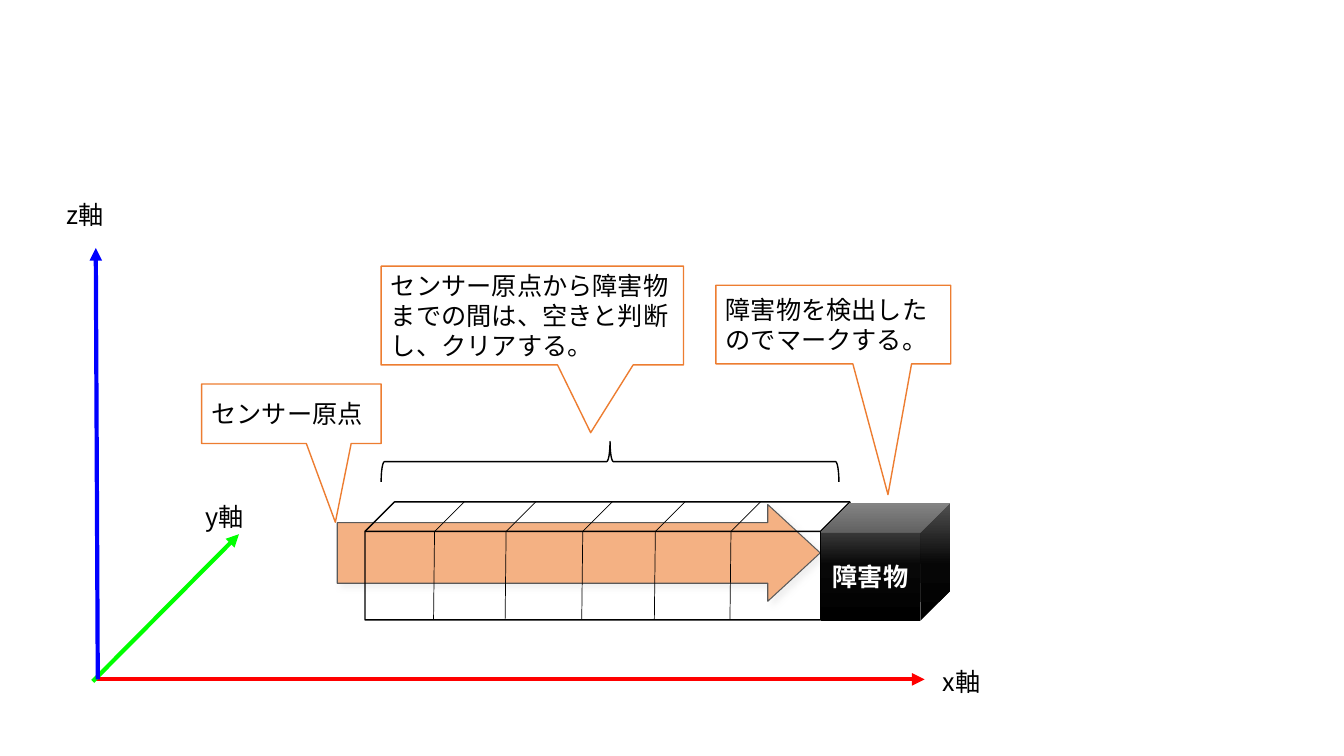
from lxml.etree import SubElement
from pptx import Presentation
from pptx.dml.color import RGBColor
from pptx.enum.shapes import MSO_CONNECTOR, MSO_SHAPE
from pptx.enum.text import MSO_ANCHOR, MSO_AUTO_SIZE, PP_ALIGN
from pptx.oxml import parse_xml
from pptx.oxml.ns import nsdecls, qn
from pptx.util import Inches, Pt

BLACK = RGBColor(0x00, 0x00, 0x00)
WHITE = RGBColor(0xFF, 0xFF, 0xFF)
RED = RGBColor(0xFF, 0x00, 0x00)
GREEN = RGBColor(0x00, 0xFF, 0x00)
BLUE = RGBColor(0x00, 0x00, 0xFF)
ORANGE = RGBColor(0xED, 0x7D, 0x31)
PEACH = RGBColor(0xF4, 0xB1, 0x83)
GRAY = RGBColor(0x59, 0x59, 0x59)
FONT = "Noto Sans CJK JP"
ROWS = 75

AXES = [
    ("x軸", RED, (9.3, 67.4), (91.7, 67.4), (92.5, 65.6)),
    ("y軸", GREEN, (9.2, 67.6), (23.7, 53), (19.4, 49.2)),
    ("z軸", BLUE, (9.7, 67.4), (9.5, 24.6), (5.6, 19.3)),
]
LABEL_SIZE = (9.5, 4)
CALLOUTS = [
    ("センサー原点", (20, 38.1, 17.8, 5.9), (0.245, 1.824)),
    ("センサー原点から障害物までの間は、空きと判断し、クリアする。",
     (37.8, 26.4, 30, 9.8), (0.193, 1.186)),
    ("障害物を検出したのでマークする。", (71, 28.3, 23.3, 7.8), (0.233, 2.163)),
]
BEAM = (33.45, 50.05, 47.9, 9.6)
BEAM_SHAPE = (0.627, 0.542)
FREE_SPACE = (36.2, 49.8, 48.1, 11.7)
OBSTACLE = ("障害物", (81.4, 49.9, 12.8, 11.7))
BRACE = (37.8, 43.8, 45.4, 4)
DIVIDERS = [43, 50.1, 57.7, 64.9, 72.4]
DEPTH = FREE_SPACE[3] / 4

prs = Presentation()
prs.slide_width, prs.slide_height = Inches(13.33), Inches(7.5)
slide = prs.slides.add_slide(prs.slide_layouts[6])
cell = prs.slide_height / ROWS


def grid(*lengths):
    return [round(length * cell) for length in lengths]


def add_line(start, end, color, width, arrow=False):
    line = slide.shapes.add_connector(MSO_CONNECTOR.STRAIGHT, *grid(*start, *end))
    line.line.color.rgb = color
    line.line.width = Pt(width)
    if arrow:
        SubElement(line.line._get_or_add_ln(), qn("a:tailEnd"), type="triangle")
    SubElement(line._element.spPr, qn("a:effectLst"))


def add_part(preset, box, fill=None, outline=None, width=1, adjust=(), turn=0):
    left, top, wide, high = box
    if turn:
        left, top = left + (wide - high) / 2, top + (high - wide) / 2
        wide, high = high, wide
    part = slide.shapes.add_shape(preset, *grid(left, top, wide, high))
    part.rotation = turn
    part.shadow.inherit = False
    for index, value in enumerate(adjust):
        part.adjustments[index] = value
    if fill is None:
        part.fill.background()
    else:
        part.fill.solid()
        part.fill.fore_color.rgb = fill
    if outline is None:
        part.line.fill.background()
    else:
        part.line.color.rgb = outline
        part.line.width = Pt(width)
    return part


def write(part, text, color=BLACK, bold=False, align=PP_ALIGN.LEFT):
    frame = part.text_frame
    frame.word_wrap = True
    paragraph = frame.paragraphs[0]
    paragraph.text = text
    paragraph.alignment = align
    font = paragraph.font
    font.name, font.size, font.bold = FONT, Pt(18), bold
    font.color.rgb = color
    defaults = paragraph._p.pPr.find(qn("a:defRPr"))
    SubElement(defaults, qn("a:ea"), typeface=FONT)
    return frame


for name, color, start, end, corner in AXES:
    add_line(start, end, color, 3, arrow=True)
    label = slide.shapes.add_textbox(*grid(*corner, *LABEL_SIZE))
    write(label, name).auto_size = MSO_AUTO_SIZE.SHAPE_TO_FIT_TEXT

beam = add_part(MSO_SHAPE.DOWN_ARROW, BEAM, PEACH, GRAY, 0.75, BEAM_SHAPE, 270)
beam_effects = beam._element.spPr.find(qn("a:effectLst"))
beam_effects.append(parse_xml(
    f'<a:outerShdw {nsdecls("a")} blurRad="50800" dist="38100" dir="2700000" '
    'rotWithShape="0"><a:srgbClr val="D9D9D9"><a:alpha val="40000"/>'
    '</a:srgbClr></a:outerShdw>'))

add_part(MSO_SHAPE.CUBE, FREE_SPACE, outline=BLACK)

obstacle_text, obstacle_box = OBSTACLE
obstacle = add_part(MSO_SHAPE.CUBE, obstacle_box, BLACK)
write(obstacle, obstacle_text, WHITE, True, PP_ALIGN.CENTER).vertical_anchor = MSO_ANCHOR.MIDDLE
obstacle_props = obstacle._element.spPr
obstacle_props.replace(obstacle_props.find(qn("a:solidFill")), parse_xml(
    f'<a:gradFill {nsdecls("a")} rotWithShape="1"><a:gsLst>'
    '<a:gs pos="0"><a:srgbClr val="000000"/></a:gs>'
    '<a:gs pos="48000"><a:srgbClr val="080808"/></a:gs>'
    '<a:gs pos="100000"><a:srgbClr val="666666"/></a:gs>'
    '</a:gsLst><a:lin ang="16200000" scaled="0"/></a:gradFill>'))

space_top = FREE_SPACE[1]
space_edge = space_top + DEPTH
space_bottom = space_top + FREE_SPACE[3]
for x in DIVIDERS:
    edge = (x + 0.1, space_edge)
    add_line((x, space_bottom), edge, BLACK, 0.5)
    add_line(edge, (edge[0] + DEPTH, space_top), BLACK, 0.5)

add_part(MSO_SHAPE.LEFT_BRACE, BRACE, outline=BLACK, turn=90)

for text, box, tip in CALLOUTS:
    callout = add_part(MSO_SHAPE.RECTANGULAR_CALLOUT, box, WHITE, ORANGE, adjust=tip)
    write(callout, text).vertical_anchor = MSO_ANCHOR.MIDDLE

prs.save("out.pptx")
